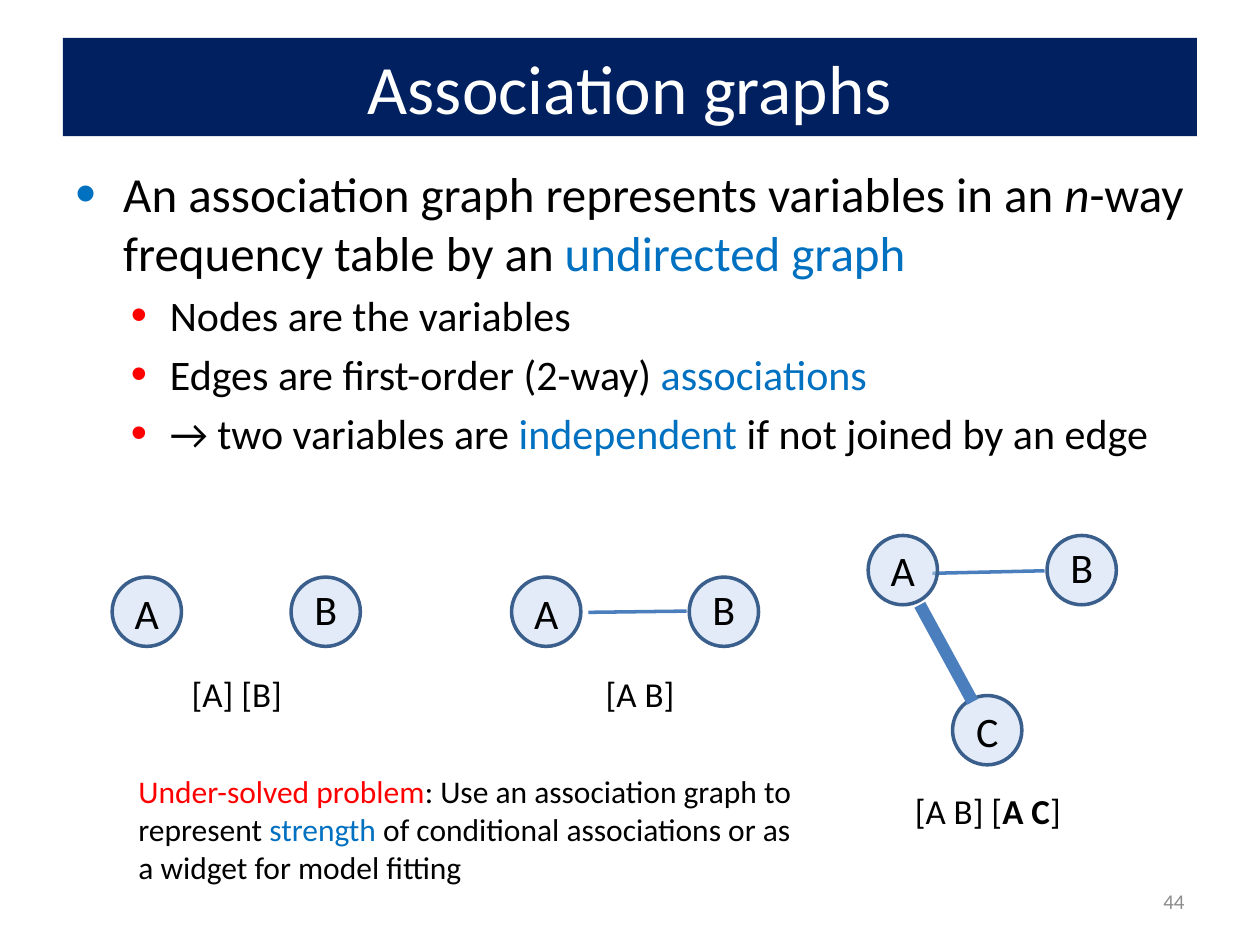
from typing import Any, NamedTuple

from lxml.etree import SubElement as Sub
from pptx import Presentation
from pptx.dml.color import RGBColor
from pptx.enum.shapes import MSO_CONNECTOR as Conn, MSO_SHAPE as Kind
from pptx.enum.text import MSO_ANCHOR as Anchor, MSO_AUTO_SIZE as Auto, PP_ALIGN as Align
from pptx.oxml.ns import qn
from pptx.util import Inches, Pt

COLS, ROWS = 100, 75
INK, BLUE, RED, NAVY, WHITE, GREY = "000000", "0070C0", "FF0000", "002060", "FFFFFF", "8C8C8C"
DISC, RIM, EDGE = "C6D9F1", "3A5F8C", "4B7EBC"
SIZE = 5.5


class Run(NamedTuple):
    text: str
    hue: str = INK
    look: dict[str, Any] = {}


class Box(NamedTuple):
    col: float
    row: float
    wide: float
    high: float


class Node(NamedTuple):
    name: str
    col: float
    row: float
    drop: float


class Link(NamedTuple):
    start: tuple[float, float]
    end: tuple[float, float]
    width: float


class Graph(NamedTuple):
    nodes: list[Node]
    under: list[Link]
    over: list[Link]
    label: list[Run]
    spot: Box


class Mark(NamedTuple):
    hue: str
    size: int
    left: float
    hang: float


class Item(NamedTuple):
    runs: list[Run]
    level: int = 0


MARKS = [Mark(BLUE, 120, 0.38, 0.38), Mark(RED, 110, 0.75, 0.31)]
SIZES = [28, 24]

ITEMS = [
    Item([Run("An association graph represents variables in an "),
          Run("n", INK, {"italic": True}),
          Run("-way frequency table by an "),
          Run("undirected graph", BLUE)]),
    Item([Run("Nodes are the variables")], 1),
    Item([Run("Edges are first-order (2-way) "), Run("associations", BLUE)], 1),
    Item([Run("→ two variables are "), Run("independent", BLUE),
          Run(" if not joined by an edge")], 1),
]

GRAPHS = [
    Graph([Node("A", 8.9, 45.8, 0.3), Node("B", 23.1, 45.8, 0)], [], [],
          [Run("[A] [B]")], Box(13.1, 52.9, 11.4, 4.4)),
    Graph([Node("A", 40.6, 45.8, 0.3), Node("B", 54.7, 45.8, 0)], [],
          [Link((54.5, 48.5), (46.7, 48.6), 2)],
          [Run("[A B]")], Box(45.1, 52.9, 11.4, 4.4)),
    Graph([Node("A", 68.9, 42.5, 0.2), Node("B", 83.1, 42.5, 0), Node("C", 75.6, 55.2, 0.3)],
          [Link((82.9, 45.3), (74, 45.5), 2)],
          [Link((77.2, 55.7), (73, 48), 7)],
          [Run("[A B] ["), Run("A C", INK, {"bold": True}), Run("]")],
          Box(71, 62.2, 14.8, 4.4)),
]

deck = Presentation()
deck.slide_width, deck.slide_height = Inches(10), Inches(7.5)
slide = deck.slides.add_slide(deck.slide_layouts[6])


def across(col: float) -> int:
    return round(deck.slide_width * col / COLS)


def down(row: float) -> int:
    return round(deck.slide_height * row / ROWS)


def place(box: Box) -> tuple[int, int, int, int]:
    return across(box.col), down(box.row), across(box.wide), down(box.high)


def tint(target: Any, hue: str) -> None:
    target.rgb = RGBColor.from_string(hue)


def apply(target: Any, form: dict[str, Any]) -> None:
    for key, value in form.items():
        setattr(target, key, value)


def write(para: Any, runs: list[Run], size: float) -> None:
    for run in runs:
        part = para.add_run()
        part.text = run.text
        apply(part.font, {"name": "Calibri", "size": Pt(size), **run.look})
        tint(part.font.color, run.hue)


def add_text(box: Box, runs: list[Run], size: float, align: Any = Align.CENTER,
             **form: Any) -> Any:
    shape = slide.shapes.add_textbox(*place(box))
    apply(shape.text_frame, {"word_wrap": True, **form})
    para = shape.text_frame.paragraphs[0]
    para.alignment = align
    write(para, runs, size)
    return shape


def add_mark(para: Any, mark: Mark) -> None:
    props = para._p.get_or_add_pPr()
    props.set("marL", str(Inches(mark.left)))
    props.set("indent", str(-Inches(mark.hang)))
    Sub(Sub(props, qn("a:buClr")), qn("a:srgbClr"), val=mark.hue)
    Sub(props, qn("a:buSzPct"), val=str(mark.size * 1000))
    Sub(props, qn("a:buFont"), typeface="Arial")
    Sub(props, qn("a:buChar"), char="•")


def add_list(box: Box, items: list[Item]) -> None:
    frame = slide.shapes.add_textbox(*place(box)).text_frame
    frame.word_wrap = True
    for index, item in enumerate(items):
        para = frame.add_paragraph() if index else frame.paragraphs[0]
        para.level = item.level
        add_mark(para, MARKS[item.level])
        size = SIZES[item.level]
        para.space_before = Pt(size * 0.2 if index else 0)
        write(para, item.runs, size)


def add_node(node: Node) -> None:
    disc = slide.shapes.add_shape(Kind.OVAL, *place(Box(node.col, node.row, SIZE, SIZE)))
    disc.shadow.inherit = False
    disc.fill.solid()
    tint(disc.fill.fore_color, DISC)
    shade = disc.fill._xPr.find(qn("a:solidFill"))[0]
    Sub(shade, qn("a:alpha"), val="50000")
    tint(disc.line.color, RIM)
    disc.line.width = Pt(2)
    add_text(Box(node.col - 0.6, node.row + node.drop, 6.7, 5), [Run(node.name)], 24,
             auto_size=Auto.SHAPE_TO_FIT_TEXT)


def add_link(link: Link) -> None:
    (left, top), (right, low) = link.start, link.end
    line = slide.shapes.add_connector(Conn.STRAIGHT, across(left), down(top),
                                      across(right), down(low))
    tint(line.line.color, EDGE)
    line.line.width = Pt(link.width)
    Sub(line._element.spPr, qn("a:effectLst"))


def add_graph(graph: Graph) -> None:
    for link in graph.under:
        add_link(link)
    for node in graph.nodes:
        add_node(node)
    for link in graph.over:
        add_link(link)
    add_text(graph.spot, graph.label, 20, auto_size=Auto.SHAPE_TO_FIT_TEXT)


title = add_text(Box(5, 3, 90, 7.8), [Run("Association graphs", WHITE)], 39.6,
                 vertical_anchor=Anchor.MIDDLE)
title.fill.solid()
tint(title.fill.fore_color, NAVY)
add_list(Box(5, 12.5, 90, 27), ITEMS)
add_text(Box(71.7, 69.5, 23.3, 4), [Run("44", GREY)], 12, Align.RIGHT,
         vertical_anchor=Anchor.MIDDLE)
for graph in GRAPHS:
    add_graph(graph)
add_text(Box(10, 60.8, 54.2, 10.1),
         [Run("Under-solved problem", RED),
          Run(": Use an association graph to represent "),
          Run("strength", BLUE),
          Run(" of conditional associations or as a widget for model fitting")],
         18, Align.LEFT, auto_size=Auto.SHAPE_TO_FIT_TEXT)

deck.save("out.pptx")
